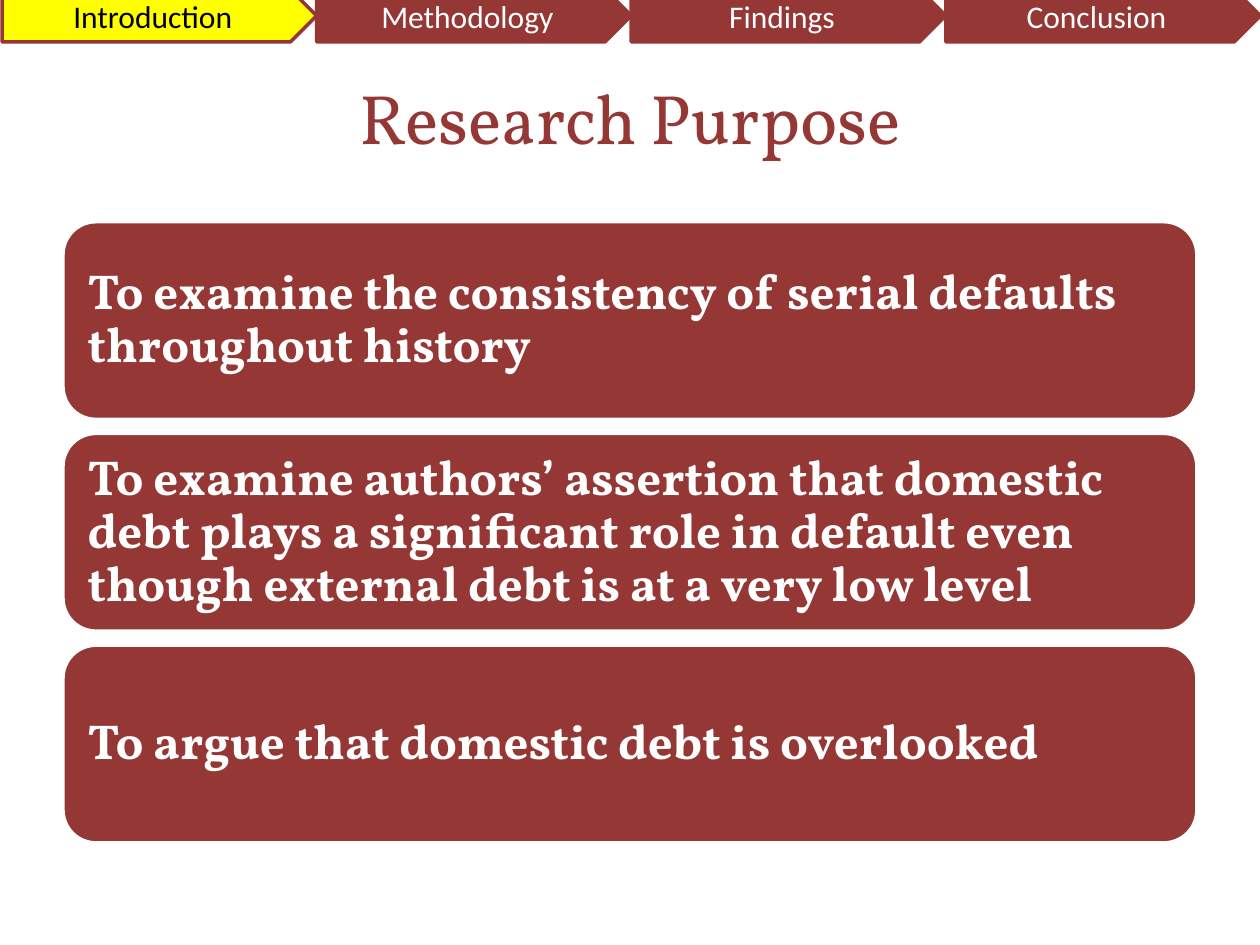
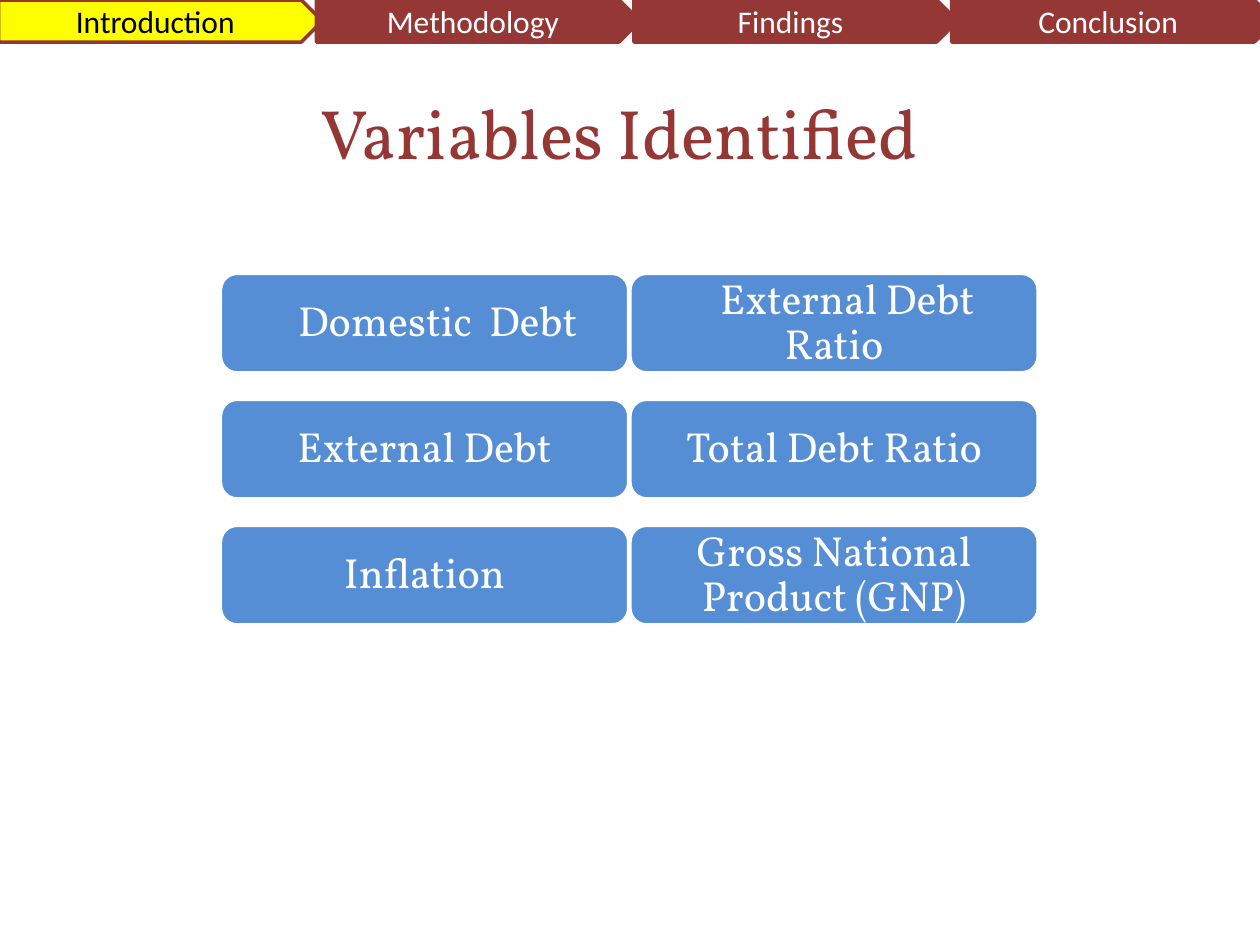
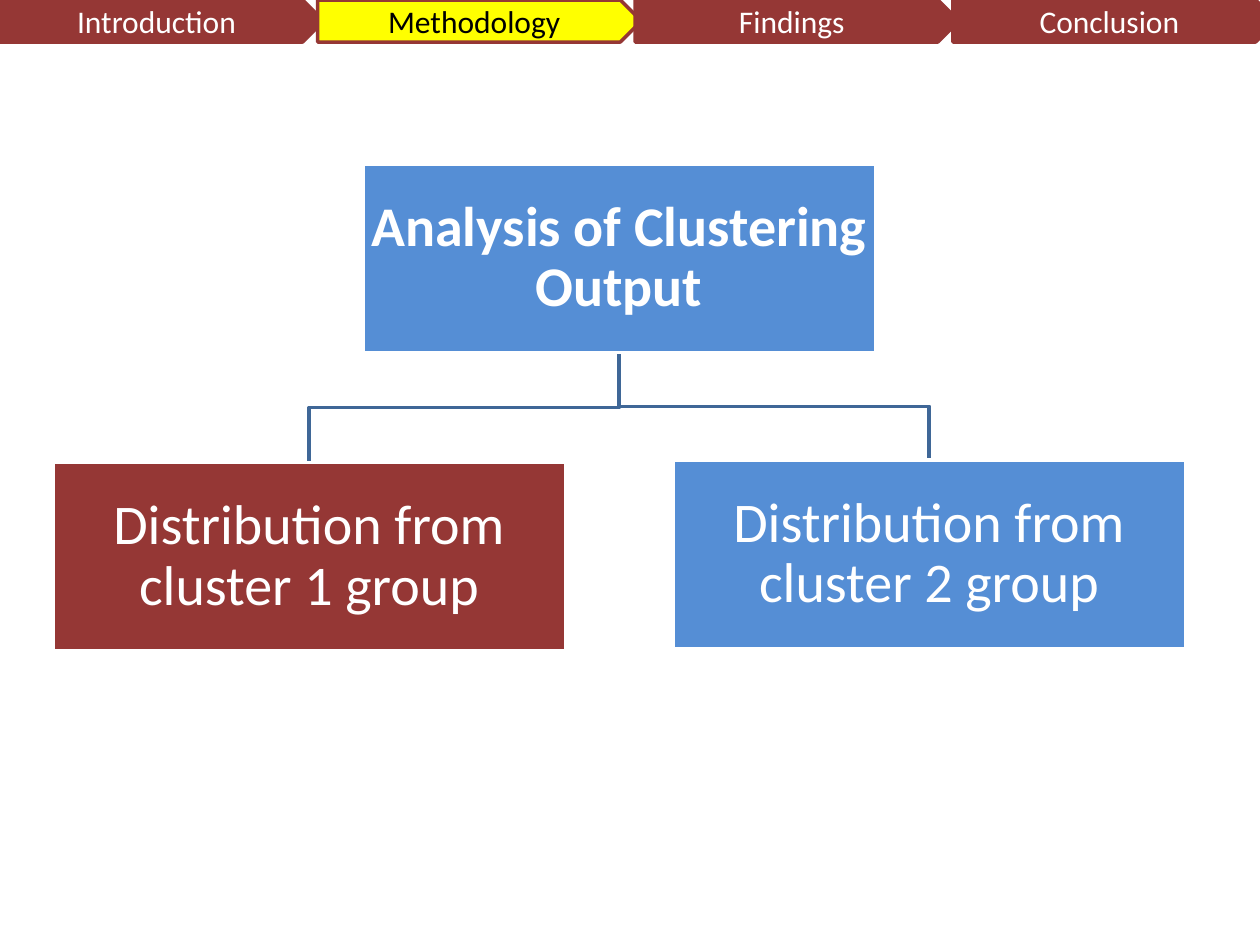
import pptx
import pptx.dml.color
import pptx.enum.shapes
import pptx.enum.text
import pptx.util

Pt = pptx.util.Pt
SHAPES = pptx.enum.shapes.MSO_SHAPE
ALIGN = pptx.enum.text.PP_ALIGN
MIDDLE = pptx.enum.text.MSO_ANCHOR.MIDDLE

RED, BLUE, YELLOW = "953735", "558ED5", "FFFF00"
WHITE, BLACK, BRANCH = "FFFFFF", "000000", "3F6797"
SERIF, SANS = "Vollkorn", "Calibri"
SECTIONS = ["Introduction", "Methodology", "Findings", "Conclusion"]


def rgb(value):
    """Turn a hex string into a colour."""
    return pptx.dml.color.RGBColor.from_string(value)


def set_text(sp, text, size=18, font=SANS, color=WHITE, bold=False,
             align=ALIGN.CENTER, spacing=1.0, inset=None, indent=0):
    """Write one formatted paragraph, vertically centred, into a shape."""
    tf = sp.text_frame
    tf.word_wrap = True
    tf.vertical_anchor = MIDDLE
    if inset is not None:
        tf.margin_left = tf.margin_right = Pt(inset)
        tf.margin_top = tf.margin_bottom = Pt(inset)
    p = tf.paragraphs[0]
    p.alignment = align
    p.line_spacing = spacing
    if indent:
        pPr = p._p.get_or_add_pPr()
        pPr.set("marL", "0")
        pPr.set("indent", str(Pt(indent)))
    r = p.add_run()
    r.text = text
    r.font.size = Pt(size)
    r.font.name = font
    r.font.bold = bold
    r.font.color.rgb = rgb(color)


def add_box(s, kind, box, text, fill, line=WHITE, **fmt):
    """Add a filled, outlined preset shape holding text."""
    sp = s.shapes.add_shape(kind, *[Pt(v) for v in box])
    sp.shadow.inherit = False
    sp.fill.solid()
    sp.fill.fore_color.rgb = rgb(fill)
    sp.line.color.rgb = rgb(line)
    sp.line.width = Pt(2)
    set_text(sp, text, **fmt)
    return sp


def grid(box, cols, rows, gap_x=0, gap_y=0):
    """Split a box into equal cells, row by row."""
    x, y, w, h = box
    cw = (w - gap_x * (cols - 1)) / cols
    ch = (h - gap_y * (rows - 1)) / rows
    return [(x + c * (cw + gap_x), y + r * (ch + gap_y), cw, ch)
            for r in range(rows) for c in range(cols)]


def add_title(s, box, text):
    """Place and format the title placeholder."""
    sp = s.shapes.title
    sp.left, sp.top, sp.width, sp.height = [Pt(v) for v in box]
    set_text(sp, text, size=40, font=SERIF, color=RED)


def add_nav(s, box, active, gap=0):
    """Draw the section arrows with the active one highlighted."""
    for name, cell in zip(SECTIONS, grid(box, len(SECTIONS), 1, gap)):
        on = name == active
        add_box(s, SHAPES.PENTAGON, cell, name, YELLOW if on else RED,
                line=RED, color=BLACK if on else WHITE)


def add_cards(s, box, texts):
    """Stack full-width statement cards."""
    for text, cell in zip(texts, grid(box, 1, len(texts), gap_y=8)):
        add_box(s, SHAPES.ROUNDED_RECTANGLE, cell, text, RED, size=28,
                font=SERIF, bold=True, align=ALIGN.LEFT, spacing=0.9,
                inset=8.64)


def add_variables(s, box, variables):
    """Lay out (name, first-line indent) tiles in two columns."""
    cells = grid(box, 2, len(variables) // 2, 0.7, 15.1)
    for (name, indent), cell in zip(variables, cells):
        add_box(s, SHAPES.ROUNDED_RECTANGLE, cell, name, BLUE, size=24,
                font=SERIF, spacing=0.9, indent=indent)


def add_branch(s, start, end):
    """Draw an elbow line that turns halfway down."""
    (x1, y1), (x2, y2) = start, end
    mid = (y1 + y2) / 2
    fb = s.shapes.build_freeform(Pt(x1), Pt(y1))
    fb.add_line_segments([(Pt(x), Pt(y)) for x, y in
                          [(x1, mid), (x2, mid), (x2, y2)]], close=False)
    sp = fb.convert_to_shape()
    sp.shadow.inherit = False
    sp.fill.background()
    sp.line.color.rgb = rgb(BRANCH)
    sp.line.width = Pt(2)


def add_tree(s, box, root, children):
    """Draw a root node over (text, fill, raise) child nodes."""
    x, y, w, h = box
    nw, nh = 293, 108
    step = (w - nw) / (len(children) - 1)
    fmt = dict(size=32, spacing=0.9, inset=1.44)
    nodes = [(text, fill, (x + i * step, y + h - nh - lift, nw, nh))
             for i, (text, fill, lift) in enumerate(children)]
    for _, _, node in nodes:
        add_branch(s, (x + w / 2, y + nh), (node[0] + nw / 2, node[1]))
    add_box(s, SHAPES.RECTANGLE, (x + (w - nw) / 2, y, nw, nh), root, BLUE,
            bold=True, **fmt)
    for text, fill, node in nodes:
        add_box(s, SHAPES.RECTANGLE, node, text, fill, **fmt)


def purpose_slide(prs):
    """Build the research purpose slide."""
    s = prs.slides.add_slide(prs.slide_layouts[5])
    add_title(s, (36, 21.6, 648, 90), "Research Purpose")
    add_cards(s, (36, 126.7, 648, 355), [
        "To examine the consistency of serial defaults throughout history",
        "To examine authors’ assertion that domestic debt plays a "
        "significant role in default even though external debt is at a "
        "very low level",
        "To argue that domestic debt is overlooked",
    ])
    add_nav(s, (1.2, -6, 719, 30), "Introduction")


def variables_slide(prs):
    """Build the variables slide."""
    s = prs.slides.add_slide(prs.slide_layouts[5])
    add_title(s, (30, 30, 648, 90), "Variables Identified")
    add_variables(s, (126, 156.2, 467.3, 200.9), [
        ("Domestic  Debt", 15), ("External Debt Ratio", 15),
        ("External Debt", 0), ("Total Debt Ratio", 0),
        ("Inflation", 0), ("Gross National Product (GNP)", 0),
    ])
    add_nav(s, (-0.7, 0, 729.5, 24), "Introduction", gap=-3.5)


def clustering_slide(prs):
    """Build the clustering output slide."""
    s = prs.slides.add_slide(prs.slide_layouts[6])
    add_tree(s, (30.2, 93.6, 647.3, 278.6), "Analysis of Clustering Output", [
        ("Distribution from cluster 1 group", RED, 0),
        ("Distribution from cluster 2 group", BLUE, 1.4),
    ])
    add_nav(s, (0, 0, 729.5, 24), "Methodology", gap=-3.5)


prs = pptx.Presentation()
prs.slide_width, prs.slide_height = Pt(720), Pt(540)
purpose_slide(prs)
variables_slide(prs)
clustering_slide(prs)
prs.save("out.pptx")
